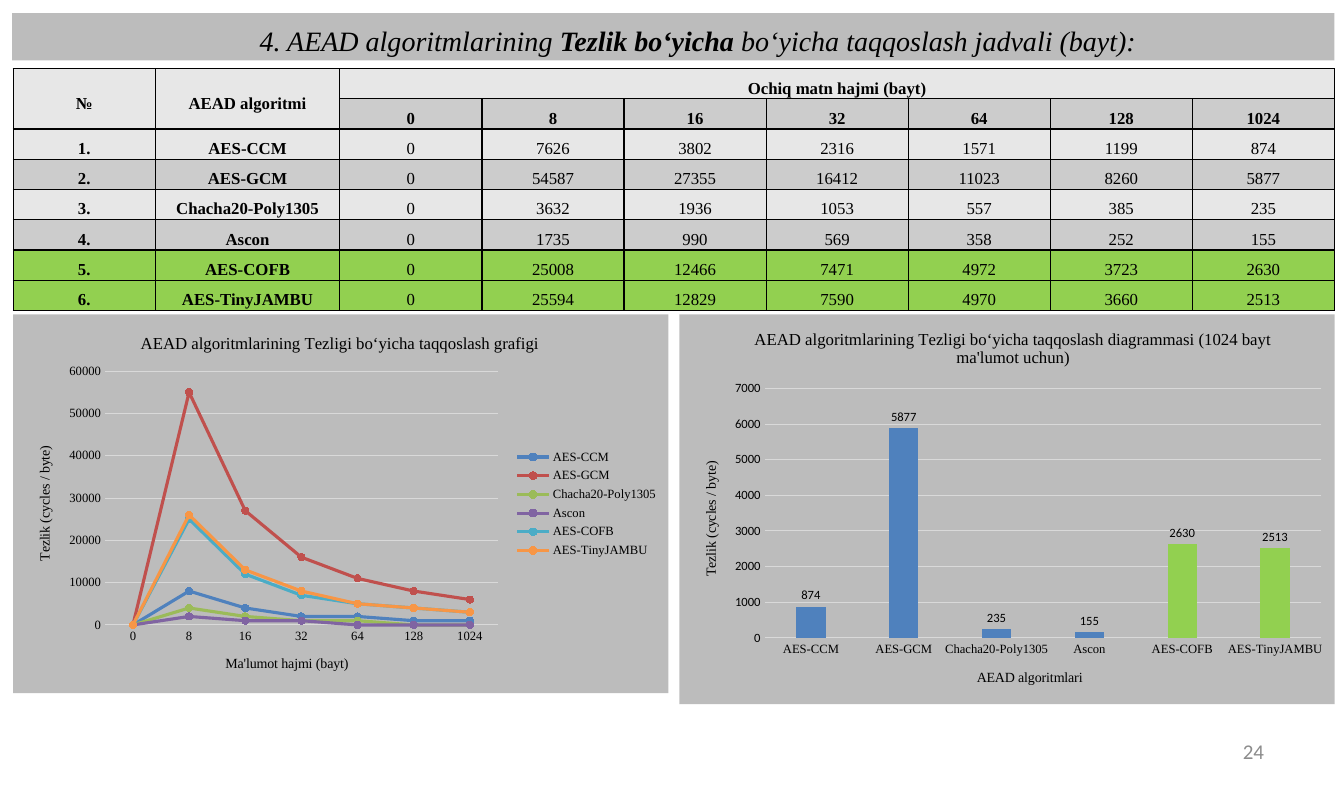
from dataclasses import dataclass

from lxml.etree import SubElement
from pptx import Presentation
from pptx.chart.axis import CategoryAxis, ValueAxis
from pptx.chart.chart import Chart
from pptx.chart.data import CategoryChartData
from pptx.dml.color import RGBColor
from pptx.enum.chart import (XL_CHART_TYPE, XL_LABEL_POSITION, XL_LEGEND_POSITION,
                             XL_MARKER_STYLE, XL_TICK_MARK)
from pptx.enum.text import MSO_ANCHOR, MSO_AUTO_SIZE, PP_ALIGN
from pptx.oxml.ns import qn
from pptx.oxml.xmlchemy import BaseOxmlElement
from pptx.slide import Slide
from pptx.table import _Cell
from pptx.text.text import Font
from pptx.util import Pt

SERIF = "Times New Roman"
SANS = "Calibri"
BLACK = RGBColor(0x00, 0x00, 0x00)
PANEL_GREY = RGBColor(0xA6, 0xA6, 0xA6)
NUMBER_GREY = RGBColor(0x8C, 0x8C, 0x8C)
GRID_GREY = RGBColor(0xD9, 0xD9, 0xD9)
LIGHT_ROW = RGBColor(0xE7, 0xE7, 0xE7)
DARK_ROW = RGBColor(0xCC, 0xCC, 0xCC)
GREEN = RGBColor(0x92, 0xD0, 0x50)
BLUE = RGBColor(0x4F, 0x81, 0xBD)
RED = RGBColor(0xC0, 0x50, 0x4D)
OLIVE = RGBColor(0x9B, 0xBB, 0x59)
PURPLE = RGBColor(0x80, 0x64, 0xA2)
TEAL = RGBColor(0x4B, 0xAC, 0xC6)
ORANGE = RGBColor(0xF7, 0x96, 0x46)

SIZES = ("0", "8", "16", "32", "64", "128", "1024")


@dataclass(frozen=True)
class Algorithm:
    name: str
    speeds: tuple[int, ...]
    colour: RGBColor
    highlighted: bool = False


@dataclass(frozen=True)
class ChartPanel:
    left: float
    height: float
    title: str
    category_title: str
    value_font: str
    maximum: int
    step: int
    plot_place: tuple[float, ...]
    title_place: tuple[float, ...]
    category_place: tuple[float, ...]
    value_place: tuple[float, ...]


ALGORITHMS = (
    Algorithm("AES-CCM", (0, 7626, 3802, 2316, 1571, 1199, 874), BLUE),
    Algorithm("AES-GCM", (0, 54587, 27355, 16412, 11023, 8260, 5877), RED),
    Algorithm("Chacha20-Poly1305", (0, 3632, 1936, 1053, 557, 385, 235), OLIVE),
    Algorithm("Ascon", (0, 1735, 990, 569, 358, 252, 155), PURPLE),
    Algorithm("AES-COFB", (0, 25008, 12466, 7471, 4972, 3723, 2630), TEAL, True),
    Algorithm("AES-TinyJAMBU", (0, 25594, 12829, 7590, 4970, 3660, 2513), ORANGE, True),
)
GROWTH = ChartPanel(
    9.4, 270.7, "AEAD algoritmlarining Tezligi bo‘yicha taqqoslash grafigi",
    "Ma'lumot hajmi (bayt)", SERIF, 60000, 10000,
    (0.14, 0.15, 0.6, 0.67), (0.19, 0.04), (0.32, 0.89), (0.03, 0.34))
COMPARISON = ChartPanel(
    485.3, 278.6,
    "AEAD algoritmlarining Tezligi bo‘yicha taqqoslash diagrammasi (1024 bayt ma'lumot uchun)",
    "AEAD algoritmlari", SANS, 7000, 1000,
    (0.13, 0.19, 0.85, 0.64), (0.11, 0.03), (0.45, 0.9), (0.03, 0.37))


def style(font: Font, size: float, name: str = SERIF, colour: RGBColor = BLACK,
          bold: bool = False) -> None:
    font.size, font.name, font.bold = Pt(size), name, bold
    font.color.rgb = colour


def fill_panel(properties: BaseOxmlElement) -> None:
    colour = SubElement(SubElement(properties, qn("a:solidFill")), qn("a:srgbClr"), val=str(PANEL_GREY))
    SubElement(colour, qn("a:alpha"), val="75000")
    SubElement(SubElement(properties, qn("a:ln")), qn("a:noFill"))


def add_heading(slide: Slide) -> None:
    heading = slide.shapes.title
    heading.left, heading.top, heading.width, heading.height = Pt(8.6), Pt(9.4), Pt(944.6), Pt(33.8)
    fill_panel(heading.element.spPr)
    frame = heading.text_frame
    frame.auto_size, frame.vertical_anchor = MSO_AUTO_SIZE.NONE, MSO_ANCHOR.MIDDLE
    paragraph = frame.paragraphs[0]
    paragraph.alignment, paragraph.line_spacing = PP_ALIGN.CENTER, 1.2
    heading.element.find(".//" + qn("a:pPr")).set("indent", str(Pt(35.3)))
    style(paragraph.font, 20)
    paragraph.font.italic = True
    for text, bold in (("4. AEAD algoritmlarining ", False), ("Tezlik bo‘yicha ", True),
                       ("bo‘yicha taqqoslash jadvali (bayt):", False)):
        part = paragraph.add_run()
        part.text, part.font.bold = text, bold


def write_cell(cell: _Cell, text: str, shade: RGBColor, bold: bool) -> None:
    properties = cell._tc.get_or_add_tcPr()
    for side in ("a:lnL", "a:lnR", "a:lnT", "a:lnB"):
        border = SubElement(properties, qn(side), w=str(Pt(1)))
        SubElement(SubElement(border, qn("a:solidFill")), qn("a:srgbClr"), val=str(BLACK))
    cell.fill.solid()
    cell.fill.fore_color.rgb = shade
    cell.margin_left = cell.margin_right = Pt(5)
    cell.margin_top = cell.margin_bottom = 0
    cell.vertical_anchor = MSO_ANCHOR.MIDDLE
    paragraph = cell.text_frame.paragraphs[0]
    paragraph.text = text
    paragraph.alignment, paragraph.line_spacing = PP_ALIGN.CENTER, 1.5
    paragraph.space_after = Pt(10)
    style(paragraph.font, 12, bold=bold)


def add_speed_table(slide: Slide) -> None:
    rows = [("№", "AEAD algoritmi", "Ochiq matn hajmi (bayt)") + ("",) * 6, ("", "") + SIZES]
    shades = [LIGHT_ROW, DARK_ROW]
    for number, algorithm in enumerate(ALGORITHMS, 1):
        rows.append((f"{number}.", algorithm.name, *map(str, algorithm.speeds)))
        shades.append(GREEN if algorithm.highlighted else (DARK_ROW, LIGHT_ROW)[number % 2])
    table = slide.shapes.add_table(len(rows), 9, Pt(9.4), Pt(49), Pt(943.9), Pt(21.6 * len(rows))).table
    table.first_row = table.horz_banding = False
    for index, column in enumerate(table.columns):
        column.width = Pt(131.9 if index == 1 else 101.5)
    for row, (texts, shade) in enumerate(zip(rows, shades)):
        for column, text in enumerate(texts):
            write_cell(table.cell(row, column), text, shade, row < 2 or column < 2)
    for column in (0, 1):
        table.cell(0, column).merge(table.cell(1, column))
    table.cell(0, 2).merge(table.cell(0, 8))


def place(element: BaseOxmlElement, position: tuple[float, ...]) -> None:
    for previous in element.findall(qn("c:layout")):
        element.remove(previous)
    layout = element.makeelement(qn("c:layout"))
    manual = SubElement(layout, qn("c:manualLayout"))
    if len(position) == 4:
        SubElement(manual, qn("c:layoutTarget"), val="inner")
    for mode in ("c:xMode", "c:yMode"):
        SubElement(manual, qn(mode), val="edge")
    for key, value in zip(("c:x", "c:y", "c:w", "c:h"), position):
        SubElement(manual, qn(key), val=str(value))
    element.insert(0 if element.find(qn("c:tx")) is None else 1, layout)


def format_axis(axis: CategoryAxis | ValueAxis, title: str, position: tuple[float, ...],
                label_font: str) -> None:
    axis.major_tick_mark = axis.minor_tick_mark = XL_TICK_MARK.NONE
    style(axis.tick_labels.font, 9, label_font)
    paragraph = axis.axis_title.text_frame.paragraphs[0]
    paragraph.text = title
    style(paragraph.font, 10)
    place(axis.axis_title.element, position)


def add_panel_chart(slide: Slide, panel: ChartPanel, kind: XL_CHART_TYPE,
                    data: CategoryChartData) -> Chart:
    chart = slide.shapes.add_chart(kind, Pt(panel.left), Pt(224.6), Pt(468), Pt(panel.height), data).chart
    style(chart.font, 10, SANS)
    body = chart.element.find(qn("c:chart"))
    background = body.makeelement(qn("c:spPr"))
    body.addnext(background)
    fill_panel(background)
    place(body.find(qn("c:plotArea")), panel.plot_place)
    paragraph = chart.chart_title.text_frame.paragraphs[0]
    paragraph.text = panel.title
    style(paragraph.font, 12)
    place(chart.chart_title.element, panel.title_place)
    categories, values = chart.category_axis, chart.value_axis
    format_axis(categories, panel.category_title, panel.category_place, SERIF)
    format_axis(values, "Tezlik (cycles / byte)", panel.value_place, panel.value_font)
    values.axis_title.element.find(".//" + qn("a:bodyPr")).set("rot", "-5400000")
    values.minimum_scale, values.maximum_scale, values.major_unit = 0, panel.maximum, panel.step
    values.format.line.fill.background()
    for line in (categories.format.line, values.major_gridlines.format.line):
        line.color.rgb, line.width = GRID_GREY, Pt(0.75)
    chart.plots[0].vary_by_categories = False
    chart.has_legend = False
    return chart


def add_growth_chart(slide: Slide) -> None:
    data = CategoryChartData()
    data.categories = SIZES
    for algorithm in ALGORITHMS:
        data.add_series(algorithm.name, [round(speed, -3) for speed in algorithm.speeds])
    chart = add_panel_chart(slide, GROWTH, XL_CHART_TYPE.LINE_MARKERS, data)
    chart.has_legend = True
    chart.legend.position, chart.legend.include_in_layout = XL_LEGEND_POSITION.RIGHT, False
    style(chart.legend.font, 9)
    for curve, algorithm in zip(chart.plots[0].series, ALGORITHMS):
        curve.smooth = False
        curve.format.line.color.rgb, curve.format.line.width = algorithm.colour, Pt(2.25)
        curve.marker.style, curve.marker.size = XL_MARKER_STYLE.CIRCLE, 5
        curve.marker.format.fill.solid()
        curve.marker.format.fill.fore_color.rgb = algorithm.colour
        curve.marker.format.line.color.rgb = algorithm.colour


def add_comparison_chart(slide: Slide) -> None:
    data = CategoryChartData()
    data.categories = [algorithm.name for algorithm in ALGORITHMS]
    data.add_series("Tezlik", [algorithm.speeds[-1] for algorithm in ALGORITHMS])
    plot = add_panel_chart(slide, COMPARISON, XL_CHART_TYPE.COLUMN_CLUSTERED, data).plots[0]
    plot.gap_width, plot.overlap = 219, -27
    speeds = plot.series[0]
    speeds.format.fill.solid()
    speeds.format.fill.fore_color.rgb = BLUE
    for index, algorithm in enumerate(ALGORITHMS):
        if algorithm.highlighted:
            bar_fill = speeds.points[index].format.fill
            bar_fill.solid()
            bar_fill.fore_color.rgb = GREEN
    labels = speeds.data_labels
    labels.show_value, labels.position = True, XL_LABEL_POSITION.OUTSIDE_END
    style(labels.font, 9, SANS)


def add_page_number(slide: Slide) -> None:
    frame = slide.shapes.add_textbox(Pt(687.6), Pt(521.3), Pt(223.9), Pt(30.2)).text_frame
    frame.word_wrap, frame.vertical_anchor = True, MSO_ANCHOR.MIDDLE
    frame.margin_left = frame.margin_right = Pt(8.6)
    paragraph = frame.paragraphs[0]
    paragraph.text, paragraph.alignment = "24", PP_ALIGN.RIGHT
    style(paragraph.font, 15, SANS, NUMBER_GREY)


def main() -> None:
    deck = Presentation()
    deck.slide_width, deck.slide_height = Pt(960), Pt(563)
    slide = deck.slides.add_slide(deck.slide_layouts[5])
    for add_part in (add_heading, add_speed_table, add_growth_chart, add_comparison_chart, add_page_number):
        add_part(slide)
    deck.save("out.pptx")


if __name__ == "__main__":
    main()
